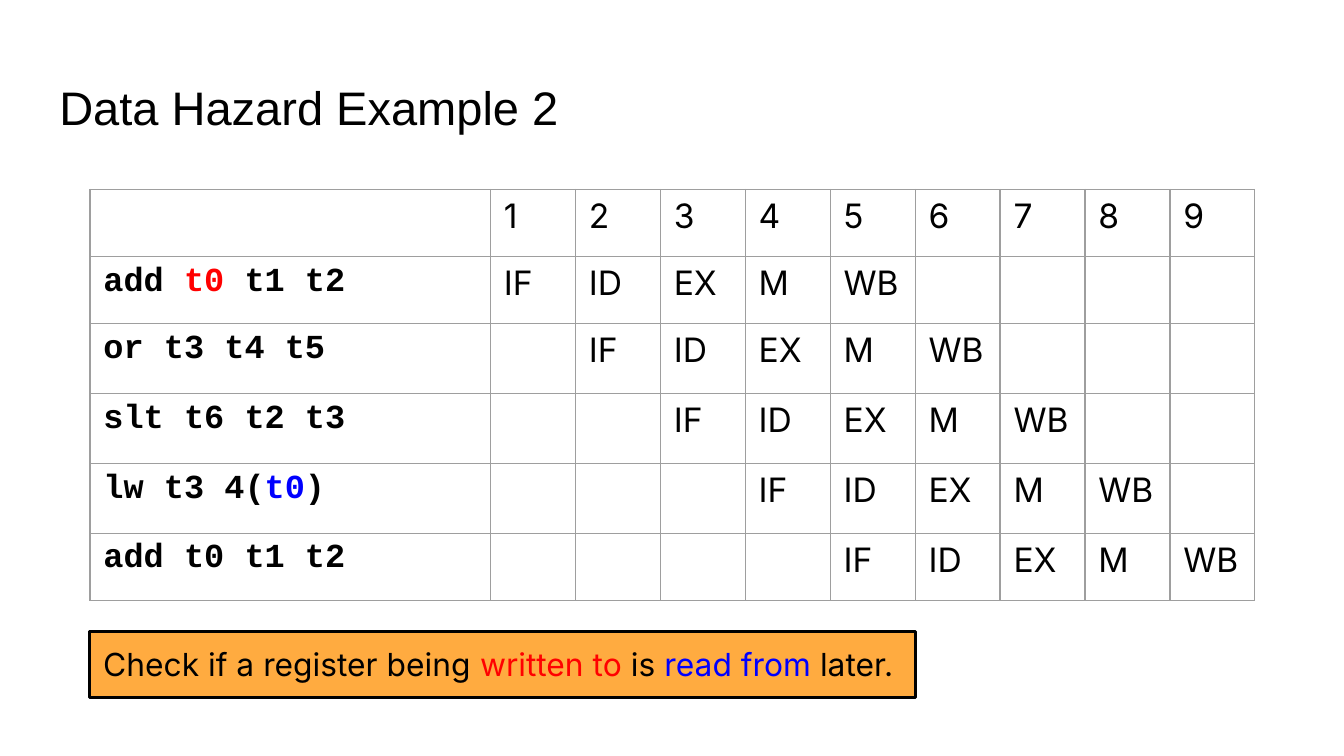
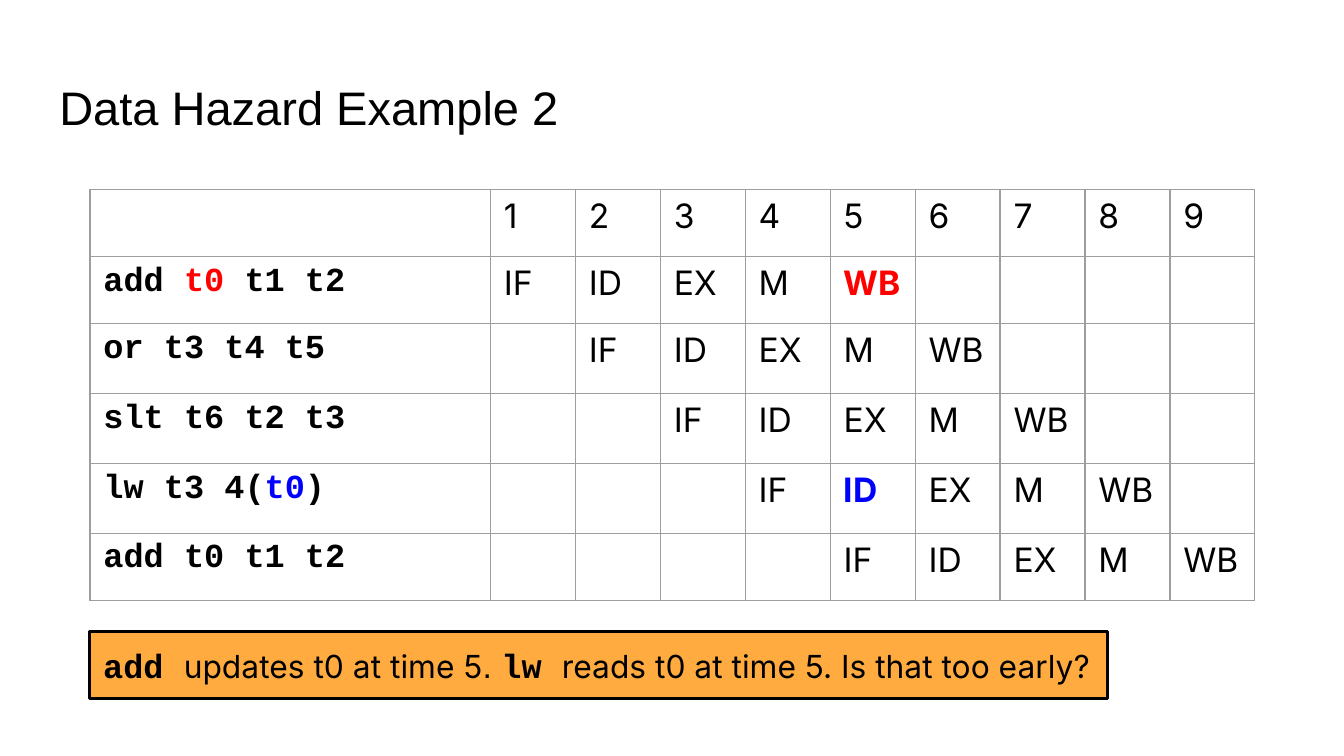
import pptx
import pptx.dml.color
import pptx.enum.shapes
import pptx.enum.text
import pptx.oxml
import pptx.oxml.ns
import pptx.util
from dataclasses import dataclass

Cm = pptx.util.Cm
Pt = pptx.util.Pt


@dataclass(frozen=True)
class Theme:
    ink: str = "000000"
    red: str = "FF0000"
    blue: str = "0000FF"
    grid: str = "9E9E9E"
    note: str = "FFAB40"
    head: str = "Arial"
    body: str = "Inter"
    code: str = "Courier New"
    title_size: float = 25.2
    cell_size: float = 18
    note_size: float = 17


theme = Theme()
pad = Cm(0.25)
left = Cm(1.7)
rgb = pptx.dml.color.RGBColor.from_string


def fill_text(frame, runs):
    """Set one left-aligned line of (text, font, size, colour, bold) runs."""
    frame.margin_left = frame.margin_right = pad
    frame.margin_top = frame.margin_bottom = pad
    line = frame.paragraphs[0]
    line.alignment = pptx.enum.text.PP_ALIGN.LEFT
    for text, font, size, colour, bold in runs:
        run = line.add_run()
        run.text = text
        run.font.name = font
        run.font.size = Pt(size)
        run.font.color.rgb = rgb(colour)
        run.font.bold = bold


def draw_grid(cell):
    """Give a cell thin lines on all four sides and no fill."""
    props = cell._tc.get_or_add_tcPr()
    for side in ("lnL", "lnR", "lnT", "lnB"):
        props.append(pptx.oxml.parse_xml(
            f'<a:{side} {pptx.oxml.ns.nsdecls("a")} w="{Pt(0.75)}">'
            f'<a:solidFill><a:srgbClr val="{theme.grid}"/></a:solidFill>'
            f'</a:{side}>'))
    cell.fill.background()


stages = ["IF", "ID", "EX", "M", "WB"]
cycles = 9
heights = [1.27, 1.27, 1.32, 1.32, 1.32, 1.27]
program = [
    [("add ", theme.ink), ("t0", theme.red), (" t1 t2", theme.ink)],
    [("or t3 t4 t5", theme.ink)],
    [("slt t6 t2 t3", theme.ink)],
    [("lw t3 4(", theme.ink), ("t0", theme.blue), (")", theme.ink)],
    [("add t0 t1 t2", theme.ink)],
]

plain = (theme.body, theme.note_size)
code = (theme.code, theme.cell_size, theme.ink, True)
# Each slide: marked stages by (row, cycle), note width and height, note runs
slides = [
    ({}, 15.6, 1.24, [
        ("Check if a register being ", *plain, theme.ink, False),
        ("written to", *plain, theme.red, False),
        (" is ", *plain, theme.ink, False),
        ("read from", *plain, theme.blue, False),
        (" later.", *plain, theme.ink, False),
    ]),
    ({(1, 5): theme.red, (4, 5): theme.blue}, 19.23, 1.27, [
        ("add ", *code),
        ("updates t0 at time 5", *plain, theme.ink, False),
        (". ", theme.head, theme.cell_size, theme.ink, False),
        ("lw ", *code),
        ("reads t0 at time 5. Is that too early?", *plain, theme.ink, False),
    ]),
]

deck = pptx.Presentation()
deck.slide_width = Cm(25.4)
deck.slide_height = Cm(14.29)

for marks, width, height, words in slides:
    slide = deck.slides.add_slide(deck.slide_layouts[5])

    title = slide.shapes.title
    title.left, title.top = Cm(0.87), Cm(1.24)
    title.width, title.height = Cm(23.67), Cm(1.6)
    title.text_frame.auto_size = pptx.enum.text.MSO_AUTO_SIZE.NONE
    title.text_frame.vertical_anchor = pptx.enum.text.MSO_ANCHOR.TOP
    fill_text(title.text_frame, [
        ("Data Hazard Example 2", theme.head, theme.title_size, theme.ink, False)])

    table = slide.shapes.add_table(
        len(heights), cycles + 1, left, Cm(3.58),
        Cm(22.02), Cm(sum(heights))).table
    table.first_row = table.horz_banding = False
    for col in table.columns:
        col.width = Cm(1.605)
    table.columns[0].width = Cm(7.57)
    for row, size in zip(table.rows, heights):
        row.height = Cm(size)
    for cell in table.iter_cells():
        draw_grid(cell)

    for cycle in range(1, cycles + 1):
        fill_text(table.cell(0, cycle).text_frame, [
            (str(cycle), theme.body, theme.cell_size, theme.ink, False)])
    for row, parts in enumerate(program, 1):
        fill_text(table.cell(row, 0).text_frame, [
            (text, theme.code, theme.cell_size, colour, True)
            for text, colour in parts])
        for cycle, stage in enumerate(stages, row):
            colour = marks.get((row, cycle), theme.ink)
            fill_text(table.cell(row, cycle).text_frame, [
                (stage, theme.body, theme.cell_size, colour, (row, cycle) in marks)])

    note = slide.shapes.add_shape(
        pptx.enum.shapes.MSO_SHAPE.RECTANGLE, left, Cm(11.94), Cm(width), Cm(height))
    note.shadow.inherit = False
    note.fill.solid()
    note.fill.fore_color.rgb = rgb(theme.note)
    note.line.color.rgb = rgb(theme.ink)
    note.line.width = Pt(1.5)
    note.text_frame.word_wrap = True
    note.text_frame.auto_size = pptx.enum.text.MSO_AUTO_SIZE.SHAPE_TO_FIT_TEXT
    note.text_frame.vertical_anchor = pptx.enum.text.MSO_ANCHOR.TOP
    fill_text(note.text_frame, words)

deck.save("out.pptx")
